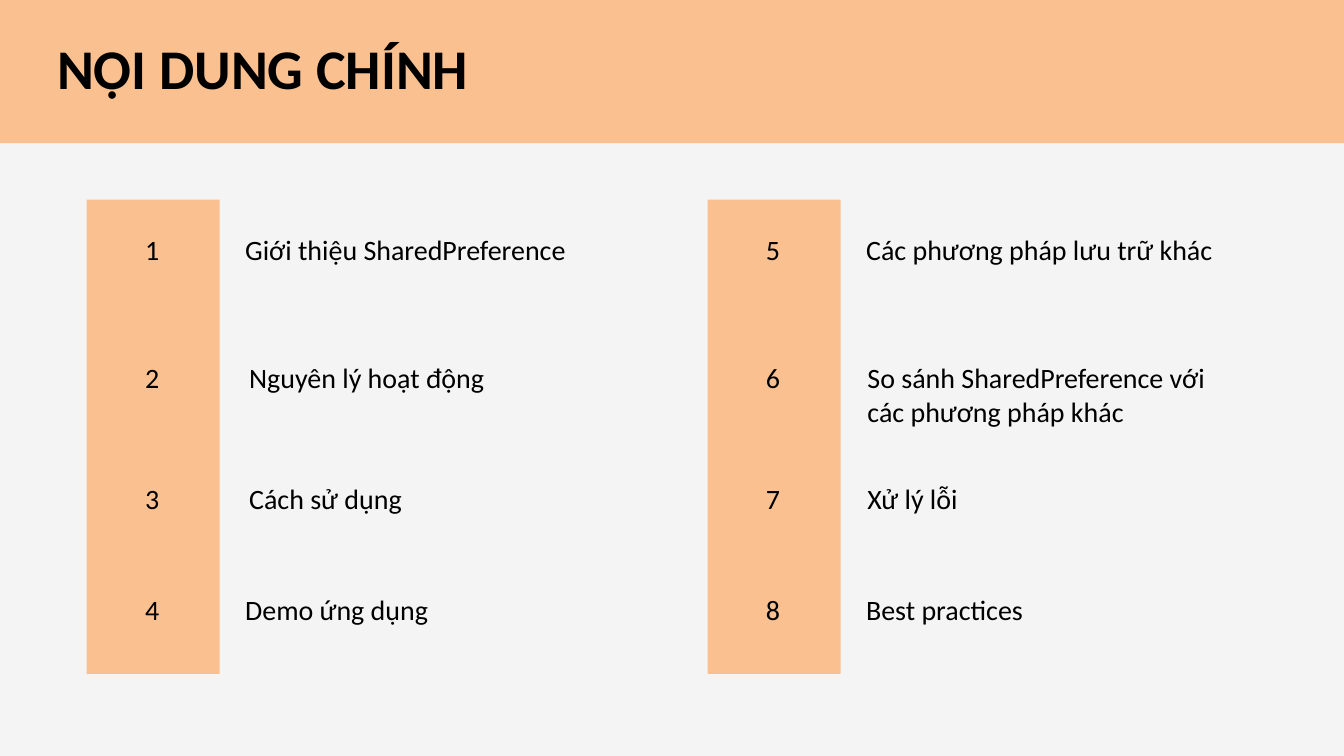
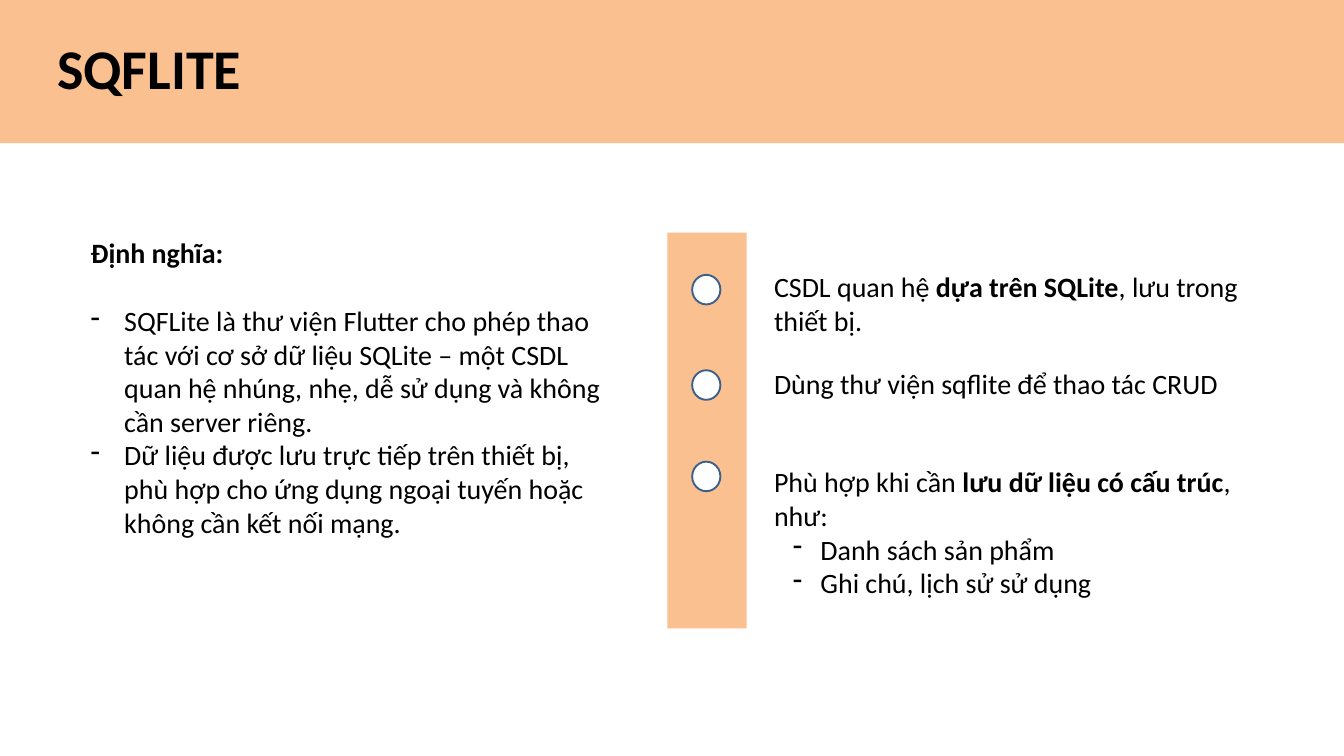
"""Builds two slides: a numbered agenda and an introduction to SQFlite."""
from lxml import etree
from pptx import Presentation
from pptx.dml.color import RGBColor
from pptx.enum.shapes import MSO_SHAPE
from pptx.enum.text import MSO_AUTO_SIZE
from pptx.oxml.ns import qn
from pptx.util import Inches, Pt

FONT = "Calibri"
PEACH, BLACK, WHITE, GREY, BLUE = "FAC090", "000000", "FFFFFF", "F4F4F4", "3A5F8C"
BODY_SIZE, TITLE_SIZE = 30, 60
LINE_HEIGHT = 0.61

AGENDA_ROWS = [(3.41, 0.72), (5.32, 0.5), (7.12, 0.84), (8.77, 0.5)]
AGENDA_COLUMNS = [
    (1.29, [
        ("Giới thiệu SharedPreference", 2.26, 6.98),
        ("Nguyên lý hoạt động", 2.32, 5.58),
        ("Cách sử dụng", 2.32, 2.84),
        ("Demo ứng dụng", 2.26, 3.36),
    ]),
    (10.53, [
        ("Các phương pháp lưu trữ khác", 2.26, 6.98),
        ("So sánh SharedPreference với các phương pháp khác", 2.28, 5.58),
        ("Xử lý lỗi", 2.28, 1.72),
        ("Best practices", 2.26, 2.96),
    ]),
]

DEFINITION = [
    {"runs": [("Định nghĩa:", True)], "space_after": 36.6},
    {"runs": [("SQFLite là thư viện Flutter cho phép thao tác với cơ sở dữ liệu SQLite – một CSDL "
               "quan hệ nhúng, nhẹ, dễ sử dụng và không cần server riêng.", False)],
     "dash": (0.5, -0.5)},
    {"runs": [("Dữ liệu được lưu trực tiếp trên thiết bị, phù hợp cho ứng dụng ngoại tuyến hoặc "
               "không cần kết nối mạng.", False)],
     "dash": (0.5, -0.5)},
]
FEATURES = [
    (3.96, 7.63, 1.11, [
        {"runs": [("CSDL quan hệ ", False), ("dựa trên SQLite", True),
                  (", lưu trong thiết bị.", False)]},
    ]),
    (5.41, 8.14, LINE_HEIGHT, [
        {"runs": [("Dùng thư viện sqflite để thao tác CRUD", False)]},
    ]),
    (6.87, 7.85, 2.12, [
        {"runs": [("Phù hợp khi cần ", False), ("lưu dữ liệu có cấu trúc", True),
                  (", như:", False)]},
        {"runs": [("Danh sách sản phẩm", False)], "dash": (0.69, -0.41)},
        {"runs": [("Ghi chú, lịch sử sử dụng", False)], "dash": (0.69, -0.41)},
    ]),
]
MARKER_TOPS = [4.09, 5.51, 6.87]


def color(value):
    """Return the colour for a hex string."""
    return RGBColor.from_string(value)


def add_block(slide, box, fill=PEACH, kind=MSO_SHAPE.RECTANGLE, line=None):
    """Add a filled shape, outlined when a line colour is given."""
    shape = slide.shapes.add_shape(kind, *map(Inches, box))
    shape.shadow.inherit = False
    shape.fill.solid()
    shape.fill.fore_color.rgb = color(fill)
    if line:
        shape.line.color.rgb = color(line)
        shape.line.width = Pt(2)
    else:
        shape.line.fill.background()


def add_dash(paragraph, margin, indent):
    """Give a paragraph a hanging dash."""
    properties = paragraph._p.get_or_add_pPr()
    properties.set("marL", str(Inches(margin)))
    properties.set("indent", str(Inches(indent)))
    etree.SubElement(properties, qn("a:buChar")).set("char", "-")


def add_text(slide, box, paragraphs, size=BODY_SIZE):
    """Add a wrapped text box from paragraph dicts."""
    frame = slide.shapes.add_textbox(*map(Inches, box)).text_frame
    frame.word_wrap = True
    frame.auto_size = MSO_AUTO_SIZE.SHAPE_TO_FIT_TEXT
    for index, content in enumerate(paragraphs):
        paragraph = frame.add_paragraph() if index else frame.paragraphs[0]
        if "dash" in content:
            add_dash(paragraph, *content["dash"])
        if "space_after" in content:
            paragraph.space_after = Pt(content["space_after"])
        for text, bold in content["runs"]:
            run = paragraph.add_run()
            run.text = text
            run.font.color.rgb = color(BLACK)
            for name, value in {"name": FONT, "size": Pt(size), "bold": bold}.items():
                setattr(run.font, name, value)


def plain(text, bold=False):
    """Return one paragraph holding one run."""
    return [{"runs": [(text, bold)]}]


def add_titled_slide(presentation, title, background, title_width):
    """Add a blank slide with the title band."""
    slide = presentation.slides.add_slide(presentation.slide_layouts[6])
    slide.background.fill.solid()
    slide.background.fill.fore_color.rgb = color(background)
    add_block(slide, (-0.02, -0.01, 20.02, 2.14))
    add_text(slide, (0.75, 0.45, title_width, 1.11), plain(title, True), TITLE_SIZE)
    return slide


def build_agenda(presentation):
    """Build the two-column numbered agenda."""
    slide = add_titled_slide(presentation, "NỘI DUNG CHÍNH", GREY, 14.12)
    number = 0
    for left, items in AGENDA_COLUMNS:
        add_block(slide, (left, 2.97, 1.98, 7.06))
        for (top, number_width), (text, offset, width) in zip(AGENDA_ROWS, items):
            number += 1
            add_text(slide, (left + 0.77, top, number_width, LINE_HEIGHT), plain(str(number)))
            add_text(slide, (left + offset, top, width, LINE_HEIGHT), plain(text))


def build_sqflite(presentation):
    """Build the definition and the marked feature list."""
    slide = add_titled_slide(presentation, "SQFLITE", WHITE, 18.42)
    add_block(slide, (9.93, 3.46, 1.18, 5.89))
    for top, width, height, paragraphs in FEATURES:
        add_text(slide, (11.42, top, width, height), paragraphs)
    for top in MARKER_TOPS:
        add_block(slide, (10.3, top, 0.42, 0.44), WHITE, MSO_SHAPE.OVAL, BLUE)
    add_text(slide, (1.25, 3.46, 8.08, 4.64), DEFINITION)


def main():
    """Create and save the presentation."""
    presentation = Presentation()
    presentation.slide_width = Inches(20)
    presentation.slide_height = Inches(11.25)
    build_agenda(presentation)
    build_sqflite(presentation)
    presentation.save("out.pptx")


if __name__ == "__main__":
    main()
